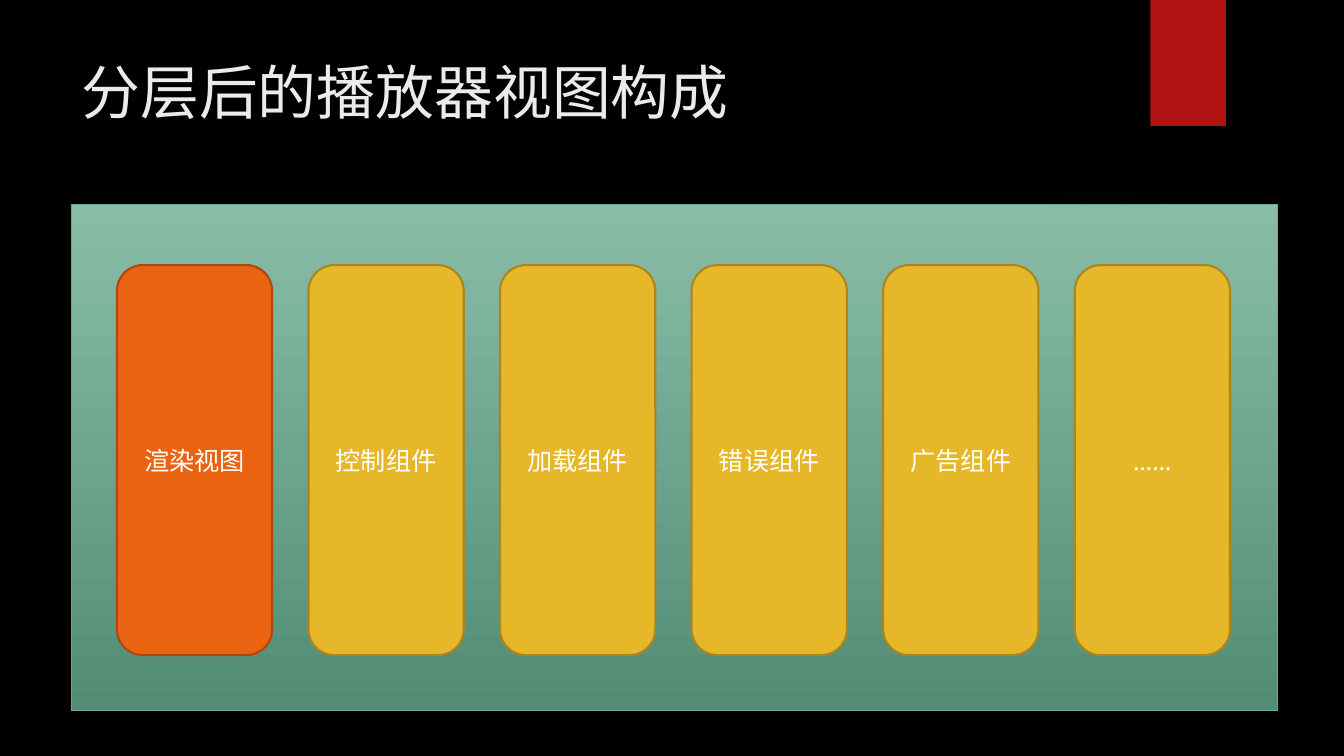
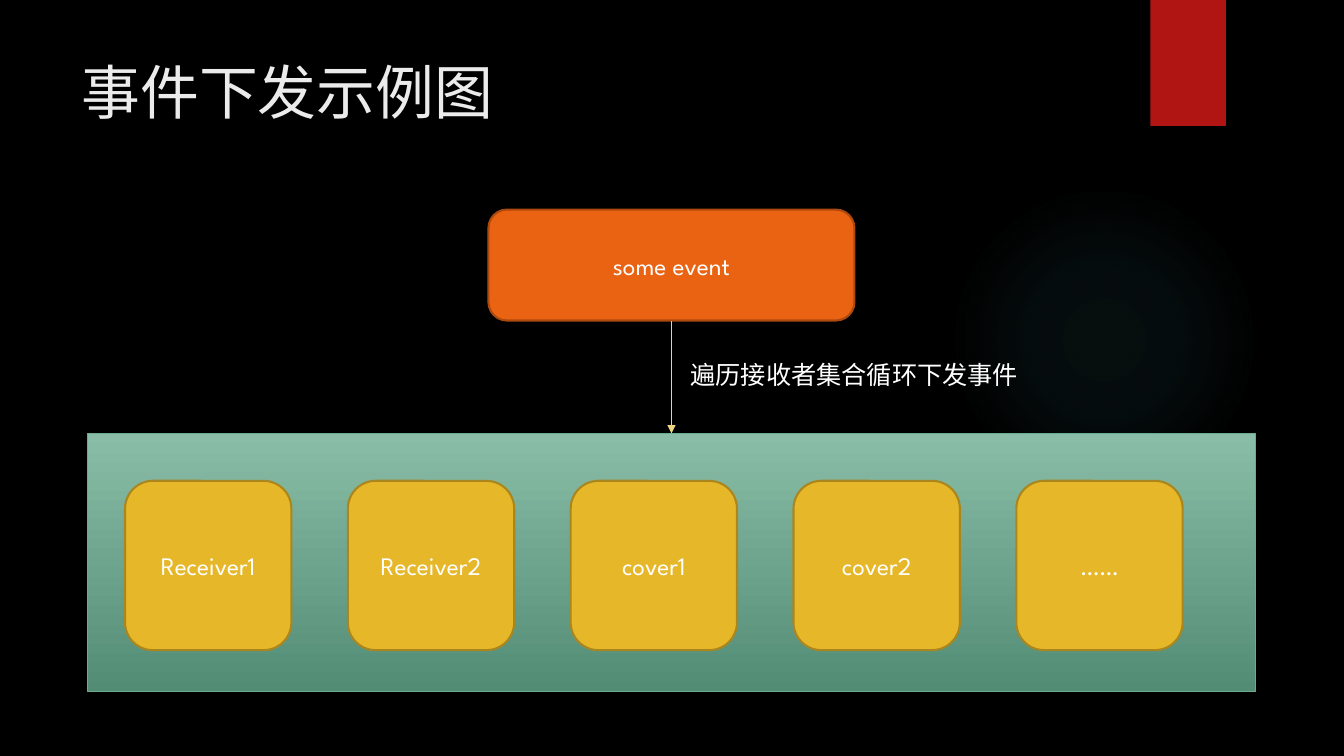
from lxml import etree
from pptx import Presentation
from pptx.dml.color import RGBColor
from pptx.enum.shapes import MSO_CONNECTOR, MSO_SHAPE as SHAPE
from pptx.enum.text import MSO_ANCHOR, PP_ALIGN
from pptx.oxml import parse_xml
from pptx.oxml.ns import qn
from pptx.util import Inches, Pt

W, H = 13.33, 7.5
FONT = "League Spartan"
BLACK, WHITE, TITLE = "000000", "FFFFFF", "EBEBEB"
RED, GLOW, ARROW = "B01513", "50B9C1", "F0D47F"
PANEL_TOP, PANEL_BOTTOM, PANEL_LINE = "89BDA7", "538C74", "6AAC90"
ORANGE = ("EA6312", "AD490D")  # fill, outline
YELLOW = ("E6B729", "AA871E")
GLOW_STOPS = ((0, 7), (36, 6), (69, 0))  # position and opacity, percent


def rgb(color):
    return RGBColor.from_string(color)


def add_box(s, kind, box, fill=None, line=None, width=0.75):
    sp = s.shapes.add_shape(kind, *map(Inches, box))
    sp.shadow.inherit = False
    if fill:
        sp.fill.solid()
        sp.fill.fore_color.rgb = rgb(fill)
    else:
        sp.fill.background()
    if line:
        sp.line.color.rgb = rgb(line)
        sp.line.width = Pt(width)
    else:
        sp.line.fill.background()
    return sp


def set_text(sp, text, size=18, color=WHITE, align=PP_ALIGN.LEFT,
             anchor=MSO_ANCHOR.TOP):
    tf = sp.text_frame
    tf.word_wrap = True
    tf.vertical_anchor = anchor
    p = tf.paragraphs[0]
    p.text = text
    p.alignment = align
    p.font.name = FONT
    p.font.size = Pt(size)
    p.font.color.rgb = rgb(color)


def add_label(s, box, text, **style):
    set_text(s.shapes.add_textbox(*map(Inches, box)), text, **style)


def add_card(s, box, text, colors):
    fill, line = colors
    sp = add_box(s, SHAPE.ROUNDED_RECTANGLE, box, fill, line, 1.5)
    set_text(sp, text, align=PP_ALIGN.CENTER, anchor=MSO_ANCHOR.MIDDLE)
    return sp


def add_panel(s, box):
    sp = add_box(s, SHAPE.RECTANGLE, box, line=PANEL_LINE)
    sp.fill.gradient()
    sp.fill.gradient_angle = 270
    for stop, color in zip(sp.fill.gradient_stops, (PANEL_TOP, PANEL_BOTTOM)):
        stop.color.rgb = rgb(color)
    return sp


def add_card_row(s, panel, cards, inset, size, pitch):
    """Place (text, colors) cards inside a panel box, at an even pitch."""
    left, top = panel[0] + inset[0], panel[1] + inset[1]
    for i, (text, colors) in enumerate(cards):
        add_card(s, (left + i * pitch, top, *size), text, colors)


def add_glow(s, box):
    sp = add_box(s, SHAPE.OVAL, box)
    stops = "".join(
        f'<a:gs pos="{pos * 1000}"><a:srgbClr val="{GLOW}">'
        f'<a:alpha val="{alpha * 1000}"/></a:srgbClr></a:gs>'
        for pos, alpha in GLOW_STOPS)
    grad = parse_xml(
        '<a:gradFill xmlns:a="http://schemas.openxmlformats.org/drawingml/2006/main">'
        f'<a:gsLst>{stops}</a:gsLst><a:path path="circle">'
        '<a:fillToRect l="50000" t="50000" r="50000" b="50000"/></a:path></a:gradFill>')
    sp_pr = sp.element.spPr
    sp_pr.replace(sp_pr.find(qn("a:noFill")), grad)


def add_arrow(s, start, end):
    """Draw an arrow from the bottom of one shape to the top of another."""
    cx = s.shapes.add_connector(MSO_CONNECTOR.STRAIGHT, 0, 0, 0, 0)
    cx.begin_connect(start, 2)
    cx.end_connect(end, 0)
    cx.line.color.rgb = rgb(ARROW)
    cx.line.width = Pt(0.75)
    etree.SubElement(cx.line._get_or_add_ln(), qn("a:tailEnd"), type="triangle")
    etree.SubElement(cx.element.spPr, qn("a:effectLst"))


def add_slide(prs, title):
    s = prs.slides.add_slide(prs.slide_layouts[6])
    s.background.fill.solid()
    s.background.fill.fore_color.rgb = rgb(BLACK)
    add_glow(s, (9.41, 1.83, 3.08, 3.08))
    add_box(s, SHAPE.RECTANGLE, (11.41, 0, 0.75, 1.25), RED)
    add_label(s, (0.71, 0.5, 10.29, 1.53), title, size=42, color=TITLE)
    return s


def build_view_layers(prs):
    s = add_slide(prs, "分层后的播放器视图构成")
    panel = (0.71, 2.03, 11.96, 5.02)
    add_panel(s, panel)
    parts = ("控制组件", "加载组件", "错误组件", "广告组件", "……")
    cards = [("渲染视图", ORANGE)] + [(part, YELLOW) for part in parts]
    add_card_row(s, panel, cards, inset=(0.45, 0.6), size=(1.54, 3.87), pitch=1.9)


def build_event_dispatch(prs):
    s = add_slide(prs, "事件下发示例图")
    panel = (0.87, 4.3, 11.58, 2.56)
    panel_sp = add_panel(s, panel)
    receivers = ("Receiver1", "Receiver2", "cover1", "cover2", "……")
    add_card_row(s, panel, [(name, YELLOW) for name in receivers],
                 inset=(0.37, 0.47), size=(1.65, 1.68), pitch=2.21)
    event_w = 3.63
    event_left = panel[0] + (panel[2] - event_w) / 2
    event = add_card(s, (event_left, 2.08, event_w, 1.1), "some event", ORANGE)
    add_arrow(s, event, panel_sp)
    add_label(s, (6.75, 3.52, 3.7, 0.4), "遍历接收者集合循环下发事件")


def main():
    prs = Presentation()
    prs.slide_width, prs.slide_height = Inches(W), Inches(H)
    build_view_layers(prs)
    build_event_dispatch(prs)
    prs.save("out.pptx")


if __name__ == "__main__":
    main()
